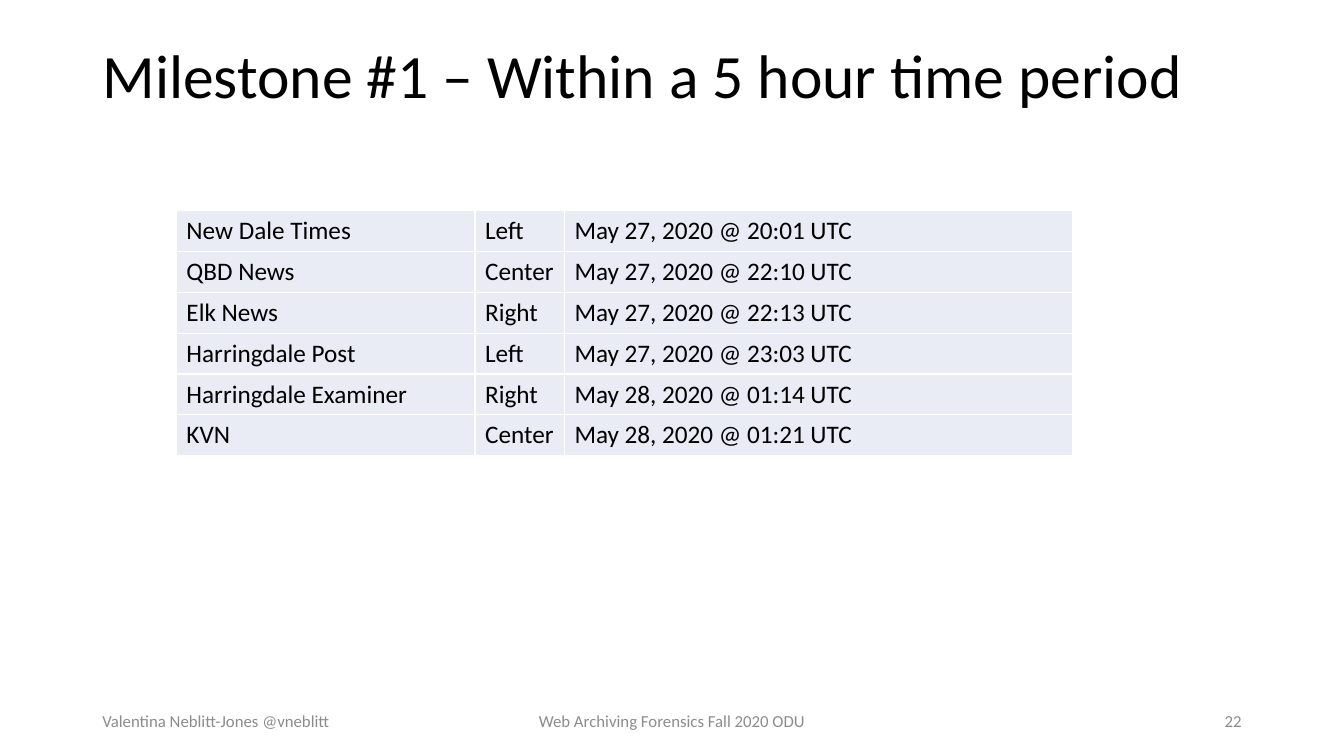
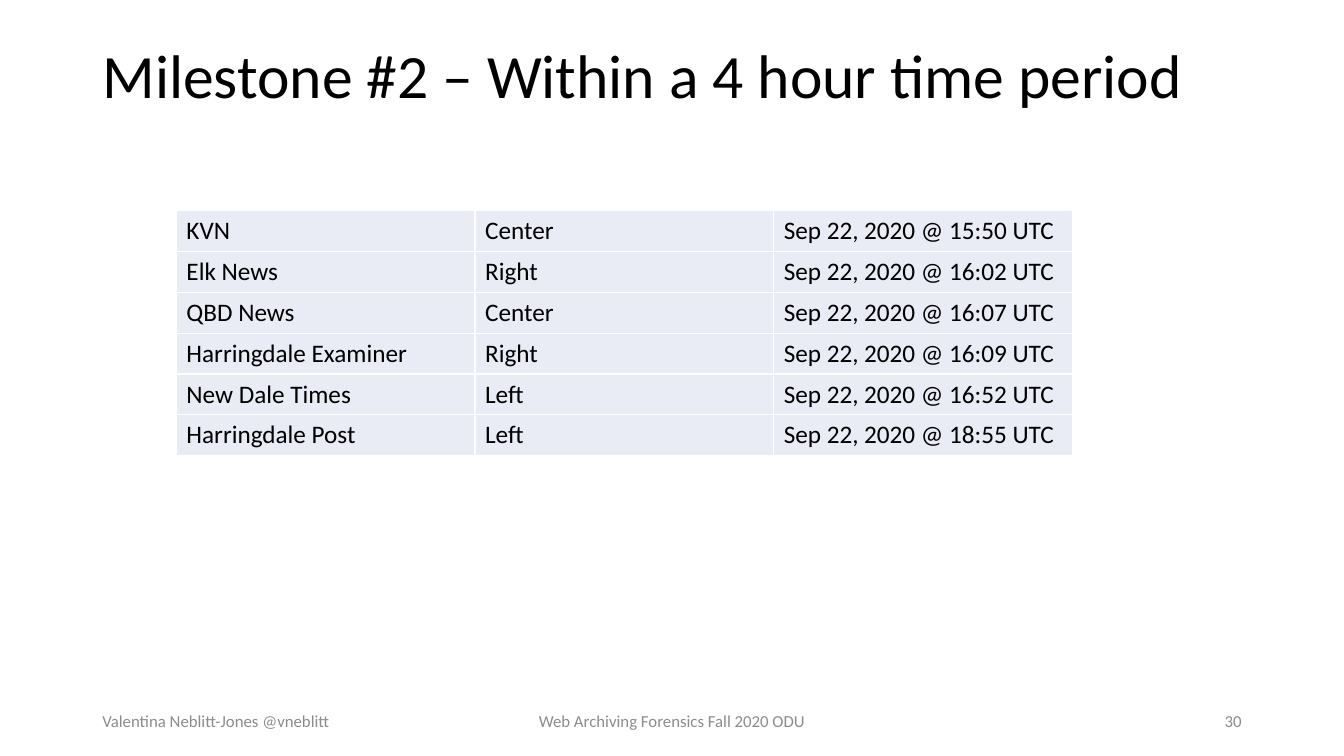
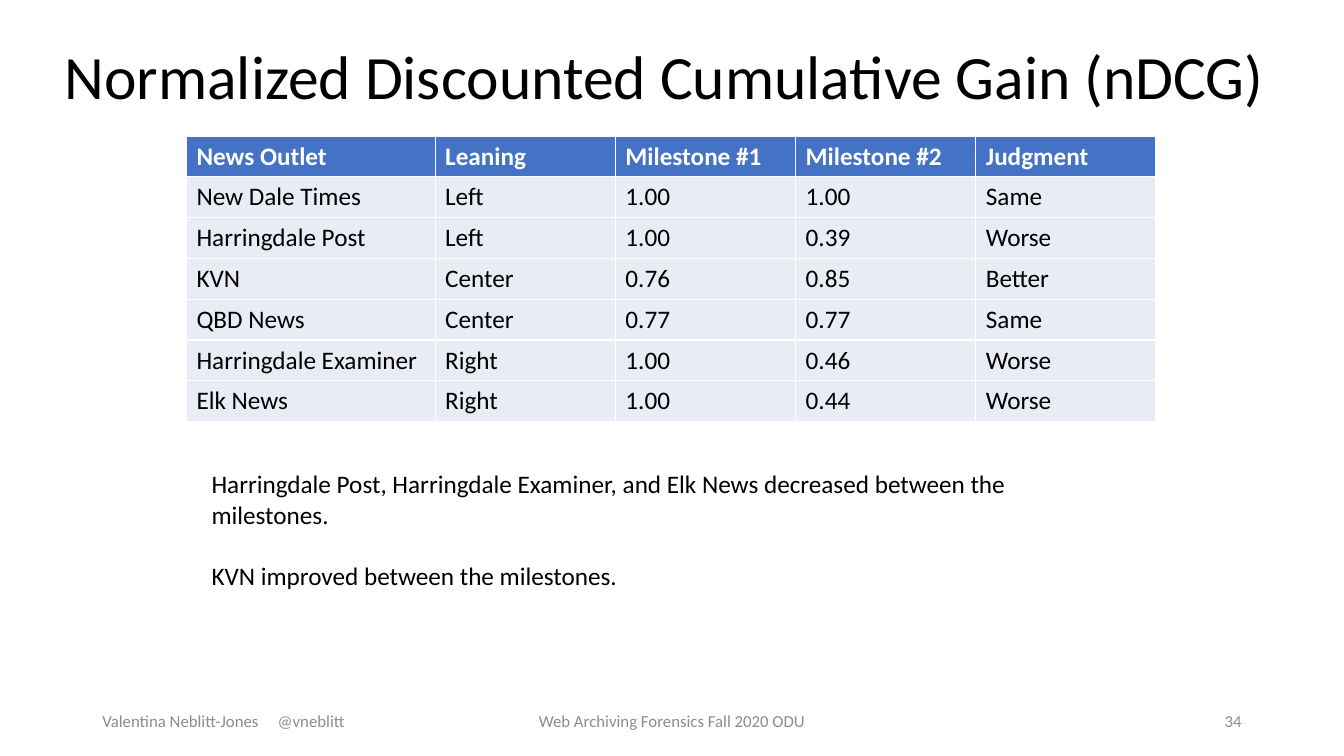
from pptx import Presentation
from pptx.dml.color import RGBColor
from pptx.enum.text import MSO_ANCHOR as Anchor, MSO_AUTO_SIZE as Fit, PP_ALIGN as Align
from pptx.oxml.ns import qn
from pptx.util import Inches, Pt
from lxml.etree import SubElement

# Shared look: a grid of 160 columns and 90 rows, 12 to the inch
COLS, ROWS = 160, 90
CELL = Inches(1) / 12
FONT = "Calibri"
BLACK = RGBColor(0x00, 0x00, 0x00)
WHITE = RGBColor(0xFF, 0xFF, 0xFF)
GRAY = RGBColor(0x8C, 0x8C, 0x8C)
BLUE = RGBColor(0x44, 0x72, 0xC4)
PALE = RGBColor(0xE9, 0xEB, 0xF5)

ROW = 4.86          # height of a table row
TAB = Inches(1.74)  # tab stop in the footer
TITLE = (11, 4.8, 138, 9.2)
FOOT = (11, 83.4, 138, 4.8)
COURSE = "Web Archiving Forensics Fall 2020 ODU"

# Outlets
TIMES, POST, EXAM = "New Dale Times", "Harringdale Post", "Harringdale Examiner"
QBD, ELK, KVN = "QBD News", "Elk News", "KVN"


def grid(*spans):
    return [round(span * CELL) for span in spans]


def write(frame, text, size=18, color=BLACK, bold=False, align=Align.LEFT,
          anchor=Anchor.TOP, line=None, gap=0):
    """Fill a text frame, one paragraph for each line of text."""
    frame.word_wrap = True
    frame.vertical_anchor = anchor
    for i, part in enumerate(text.split("\n")):
        para = frame.add_paragraph() if i else frame.paragraphs[0]
        para.text = part
        para.alignment = align
        if line:
            para.line_spacing = line
        if i:
            para.space_before = Pt(gap)
        if "\t" in part:
            tabs = SubElement(para._p.get_or_add_pPr(), qn("a:tabLst"))
            SubElement(tabs, qn("a:tab"), pos=str(TAB), algn="l")
        font = para.font
        font.name, font.size, font.bold = FONT, Pt(size), bold
        font.color.rgb = color


def label(slide, box, text, **look):
    write(slide.shapes.add_textbox(*grid(*box)).text_frame, text, **look)


def head(slide, box, text):
    title = slide.shapes.title
    title.left, title.top, title.width, title.height = grid(*box)
    title.text_frame.auto_size = Fit.NONE
    write(title.text_frame, text, size=44, anchor=Anchor.MIDDLE, line=0.9)


def foot(slide, box, author, number):
    left, top, width, high = box
    side, mid = 36, 54
    parts = [
        (left, side, author, Align.LEFT),
        (left + (width - mid) / 2, mid, COURSE, Align.CENTER),
        (left + width - side, side, str(number), Align.RIGHT),
    ]
    for x, wide, text, align in parts:
        label(slide, (x, top, wide, high), text, size=12, color=GRAY,
              align=align, anchor=Anchor.MIDDLE)


def table(slide, spot, widths, rows, header=False):
    box = (*spot, sum(widths), ROW * len(rows))
    grille = slide.shapes.add_table(len(rows), len(widths), *grid(*box)).table
    grille.first_row, grille.horz_banding = header, False
    for col, width in zip(grille.columns, grid(*widths)):
        col.width = width
    for r, row in enumerate(rows):
        top = header and r == 0
        for c, text in enumerate(row):
            cell = grille.cell(r, c)
            cell.fill.solid()
            cell.fill.fore_color.rgb = BLUE if top else PALE
            write(cell.text_frame, text, color=WHITE if top else BLACK, bold=top)


def page(deck, title, number, box=TITLE, author="Valentina Neblitt-Jones @vneblitt"):
    slide = deck.slides.add_slide(deck.slide_layouts[5])
    head(slide, box, title)
    foot(slide, FOOT, author, number)
    return slide


def stone(deck, title, number, widths, rows):
    """Milestone slide: title and a table of capture times."""
    slide = page(deck, title, number)
    table(slide, (21, 25.1), widths, rows)


def gain(deck):
    """Score slide: title, table with a header, and remarks."""
    slide = page(deck, "Normalized Discounted Cumulative Gain (nDCG)", 34,
                 box=(6.5, 2, 147.1, 15),
                 author="Valentina Neblitt-Jones\t@vneblitt")
    rows = [
        ("News Outlet", "Leaning", "Milestone #1", "Milestone #2", "Judgment"),
        (TIMES, "Left", "1.00", "1.00", "Same"),
        (POST, "Left", "1.00", "0.39", "Worse"),
        (KVN, "Center", "0.76", "0.85", "Better"),
        (QBD, "Center", "0.77", "0.77", "Same"),
        (EXAM, "Right", "1.00", "0.46", "Worse"),
        (ELK, "Right", "1.00", "0.44", "Worse"),
    ]
    table(slide, (22.2, 16.2), [29.6] + [21.46] * 4, rows, header=True)
    label(slide, (24, 55.2, 104.5, 15.7),
          f"{POST}, {EXAM}, and {ELK} decreased between the milestones.\n"
          f"{KVN} improved between the milestones.", gap=22)


def main():
    deck = Presentation()
    deck.slide_width, deck.slide_height = grid(COLS, ROWS)
    stone(deck, "Milestone #1 – Within a 5 hour time period", 22, [35.56, 10.64, 60.48], [
        (TIMES, "Left", "May 27, 2020 @ 20:01 UTC"),
        (QBD, "Center", "May 27, 2020 @ 22:10 UTC"),
        (ELK, "Right", "May 27, 2020 @ 22:13 UTC"),
        (POST, "Left", "May 27, 2020 @ 23:03 UTC"),
        (EXAM, "Right", "May 28, 2020 @ 01:14 UTC"),
        (KVN, "Center", "May 28, 2020 @ 01:21 UTC"),
    ])
    stone(deck, "Milestone #2 – Within a 4 hour time period", 30, [35.56] * 3, [
        (KVN, "Center", "Sep 22, 2020 @ 15:50 UTC"),
        (ELK, "Right", "Sep 22, 2020 @ 16:02 UTC"),
        (QBD, "Center", "Sep 22, 2020 @ 16:07 UTC"),
        (EXAM, "Right", "Sep 22, 2020 @ 16:09 UTC"),
        (TIMES, "Left", "Sep 22, 2020 @ 16:52 UTC"),
        (POST, "Left", "Sep 22, 2020 @ 18:55 UTC"),
    ])
    gain(deck)
    deck.save("out.pptx")


if __name__ == "__main__":
    main()
